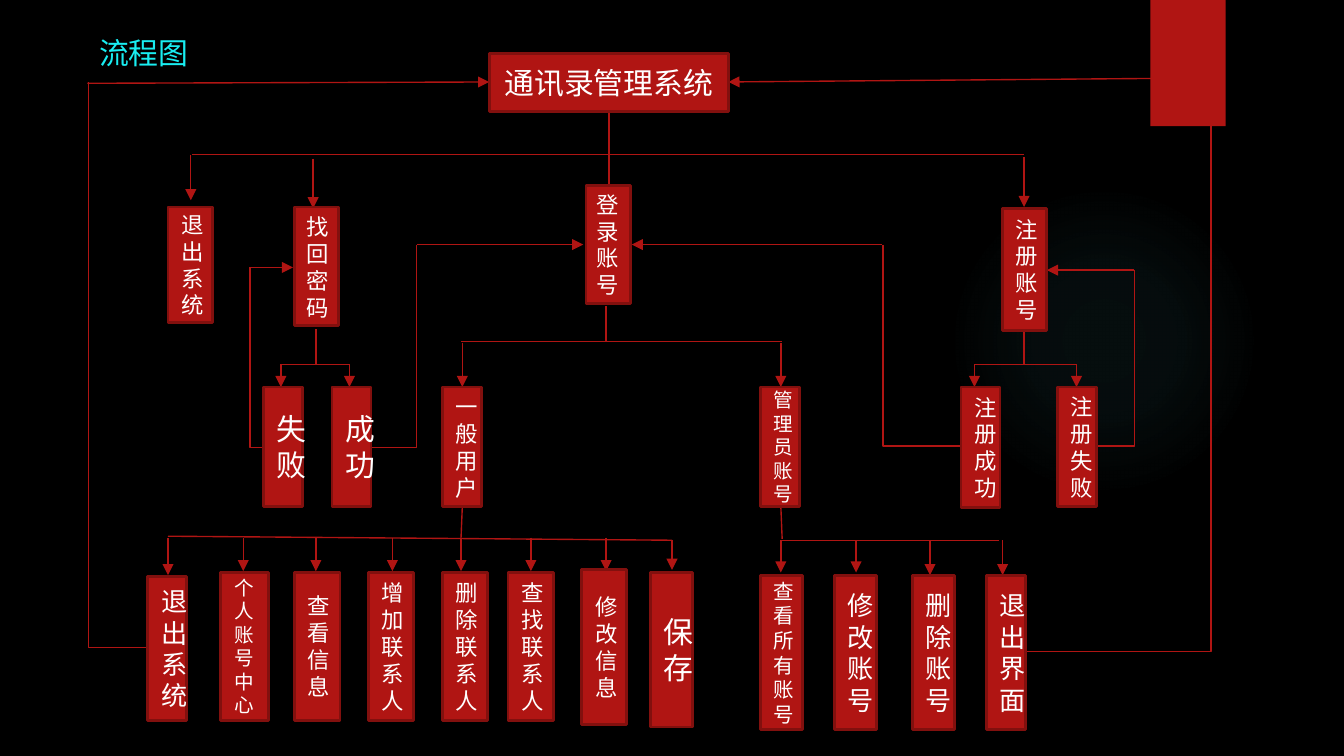
from dataclasses import dataclass

from lxml.etree import SubElement
from pptx import Presentation
from pptx.dml.color import RGBColor
from pptx.enum.shapes import MSO_CONNECTOR, MSO_SHAPE
from pptx.enum.text import MSO_ANCHOR, PP_ALIGN
from pptx.oxml import parse_xml
from pptx.oxml.ns import nsdecls, qn
from pptx.util import Inches, Pt

BLACK = RGBColor(0x00, 0x00, 0x00)
WHITE = RGBColor(0xFF, 0xFF, 0xFF)
RED = RGBColor(0xB0, 0x15, 0x13)
DARK_RED = RGBColor(0x82, 0x10, 0x0E)
CYAN = RGBColor(0x19, 0xED, 0xF1)
GLOW = RGBColor(0x50, 0xB9, 0xC1)
BODY_FONT = "TeX Gyre Adventor"
TITLE_FONT = "Noto Sans CJK SC"


@dataclass
class Box:
    text: str
    x: float
    y: float
    w: float
    h: float
    size: float = 12


@dataclass
class Link:
    x1: float
    y1: float
    x2: float
    y2: float
    arrow: bool = False
    bent: bool = False


BOXES = [
    Box("通讯录管理系统", 3.64, 0.4, 1.78, 0.43, 16),
    Box("", 4.36, 1.38, 0.33, 0.88),
    Box("", 2.19, 1.54, 0.33, 0.88),
    Box("注册账号", 7.46, 1.55, 0.33, 0.91),
    Box("退出系统", 1.25, 1.54, 0.33, 0.86),
    Box("失败", 1.96, 2.88, 0.29, 0.89, 16),
    Box("成功", 2.47, 2.88, 0.29, 0.89, 16),
    Box("一般用户", 3.29, 2.88, 0.29, 0.89),
    Box("管理员账号", 5.66, 2.88, 0.29, 0.89, 10.5),
    Box("注册成功", 7.15, 2.88, 0.29, 0.9),
    Box("注册失败", 7.87, 2.88, 0.29, 0.89),
    Box("退出系统", 1.1, 4.29, 0.29, 1.07, 14),
    Box("个人账号中心", 1.64, 4.26, 0.36, 1.1, 10.5),
    Box("查看信息", 2.19, 4.26, 0.34, 1.1),
    Box("增加联系人", 2.74, 4.26, 0.34, 1.1),
    Box("删除联系人", 3.29, 4.26, 0.34, 1.1),
    Box("查找联系人", 3.78, 4.26, 0.34, 1.1),
    Box("修改信息", 4.33, 4.24, 0.33, 1.15),
    Box("保存", 4.84, 4.26, 0.31, 1.15, 16),
    Box("查看所有账号", 5.66, 4.28, 0.31, 1.15, 11),
    Box("修改账号", 6.21, 4.28, 0.31, 1.15, 14),
    Box("删除账号", 6.79, 4.28, 0.31, 1.15, 14),
    Box("退出界面", 7.34, 4.28, 0.29, 1.15, 14),
]
LABELS = [
    Box("登录账号", 4.34, 1.37, 0.33, 0.91),
    Box("找\n回密码", 2.18, 1.54, 0.33, 0.91),
]
TITLE = Box("流程图", 0.64, 0.21, 4.23, 0.37, 16)

MENU_XS = [1.43, 1.58, 2.35, 4.53, 6.37, 7.62]
MENU_LINKS = [Link(a, 1.15, b, 1.15) for a, b in zip(MENU_XS, MENU_XS[1:])]
TREE_LINKS = [
    Link(4.53, 0.83, 4.53, 1.49, arrow=True),
    Link(4.51, 2.28, 4.51, 2.54),
    Link(3.43, 2.54, 5.82, 2.54),
    Link(2.35, 2.45, 2.35, 2.71),
    Link(2.09, 2.71, 2.6, 2.71),
    Link(7.62, 2.46, 7.62, 2.71),
    Link(7.25, 2.71, 8.01, 2.71),
    Link(3.44, 3.77, 3.43, 4.01),
    Link(5.81, 3.77, 5.82, 4.01),
    Link(1.25, 3.99, 5, 4.02),
    Link(5.81, 4.02, 7.43, 4.02),
]
DROPS = [
    (1.15, 1.49, [1.42]),
    (1.18, 1.55, [2.33]),
    (1.17, 1.54, [7.62]),
    (2.55, 2.88, [3.44, 5.81]),
    (2.71, 2.88, [2.09, 2.6, 7.25, 8.01]),
    (4, 4.28, [1.25]),
    (4, 4.25, [1.81, 2.35, 2.92, 3.43, 3.95, 4.51]),
    (4.02, 4.24, [5]),
    (4.02, 4.26, [5.81, 6.37]),
    (4.02, 4.28, [6.92, 7.46]),
]
RETURN_LINKS = [
    Link(2.75, 3.33, 3.1, 1.82, bent=True),
    Link(3.1, 1.82, 4.34, 1.82, arrow=True),
    Link(1.96, 3.33, 1.86, 1.99, bent=True),
    Link(1.86, 1.99, 2.18, 1.99, arrow=True),
    Link(7.15, 3.32, 6.57, 1.82, bent=True),
    Link(6.56, 1.82, 4.7, 1.82, arrow=True),
    Link(8.16, 3.32, 8.44, 2.01, bent=True),
    Link(8.44, 2.01, 7.79, 2.01, arrow=True),
    Link(7.62, 4.85, 9.01, 0.58, bent=True),
    Link(9.02, 0.58, 5.42, 0.61, arrow=True),
    Link(1.1, 4.82, 0.66, 0.61, bent=True),
    Link(0.65, 0.62, 3.64, 0.61, arrow=True),
]


def place(box: Box) -> tuple:
    return Inches(box.x), Inches(box.y), Inches(box.w), Inches(box.h)


def write(s, box: Box, align=PP_ALIGN.LEFT, font=BODY_FONT, color=WHITE) -> None:
    tf = s.text_frame
    tf.word_wrap = True
    tf.text = box.text
    for p in tf.paragraphs:
        p.alignment = align
        p.font.size = Pt(box.size)
        p.font.name = font
        p.font.color.rgb = color


def draw_box(slide, box: Box) -> None:
    s = slide.shapes.add_shape(MSO_SHAPE.RECTANGLE, *place(box))
    s.shadow.inherit = False
    s.fill.solid()
    s.fill.fore_color.rgb = RED
    s.line.color.rgb = DARK_RED
    s.line.width = Pt(1.5)
    if box.text:
        s.text_frame.vertical_anchor = MSO_ANCHOR.MIDDLE
        write(s, box, PP_ALIGN.CENTER)


def draw_link(slide, link: Link) -> None:
    kind = MSO_CONNECTOR.ELBOW if link.bent else MSO_CONNECTOR.STRAIGHT
    s = slide.shapes.add_connector(kind, Inches(link.x1), Inches(link.y1),
                                   Inches(link.x2), Inches(link.y2))
    s.line.color.rgb = RED
    s.line.width = Pt(0.75)
    sp_pr = s._element.spPr
    if link.bent:
        sp_pr.find(qn("a:prstGeom")).set("prst", "bentConnector2")
    if link.arrow:
        SubElement(s.line._get_or_add_ln(), qn("a:tailEnd"), type="triangle")
    SubElement(sp_pr, qn("a:effectLst"))


def draw_backdrop(slide) -> None:
    slide.background.fill.solid()
    slide.background.fill.fore_color.rgb = BLACK
    glow = slide.shapes.add_shape(MSO_SHAPE.OVAL, Inches(7.06), Inches(1.38),
                                  Inches(2.31), Inches(2.31))
    glow.shadow.inherit = False
    glow.line.fill.background()
    stops = "".join(
        f'<a:gs pos="{pos * 1000}"><a:srgbClr val="{GLOW}">'
        f'<a:alpha val="{alpha * 1000}"/></a:srgbClr></a:gs>'
        for pos, alpha in [(0, 7), (36, 6), (69, 0)])
    gradient = parse_xml(
        f'<a:gradFill {nsdecls("a")}><a:gsLst>{stops}</a:gsLst><a:path path="circle">'
        '<a:fillToRect l="50000" t="50000" r="50000" b="50000"/></a:path></a:gradFill>')
    glow._element.spPr.find(qn("a:prstGeom")).addnext(gradient)
    tab = slide.shapes.add_shape(MSO_SHAPE.RECTANGLE, Inches(8.56), 0,
                                 Inches(0.56), Inches(0.94))
    tab.shadow.inherit = False
    tab.fill.solid()
    tab.fill.fore_color.rgb = RED
    tab.line.fill.background()


def main() -> None:
    prs = Presentation()
    prs.slide_width = Inches(10)
    prs.slide_height = Inches(10 * 9 / 16)
    slide = prs.slides.add_slide(prs.slide_layouts[6])
    draw_backdrop(slide)
    write(slide.shapes.add_textbox(*place(TITLE)), TITLE, font=TITLE_FONT, color=CYAN)
    drops = [Link(x, top, x, bottom, arrow=True) for top, bottom, xs in DROPS for x in xs]
    for link in MENU_LINKS + TREE_LINKS + drops + RETURN_LINKS:
        draw_link(slide, link)
    for box in BOXES:
        draw_box(slide, box)
    for label in LABELS:
        write(slide.shapes.add_textbox(*place(label)), label)
    prs.save("out.pptx")


if __name__ == "__main__":
    main()
